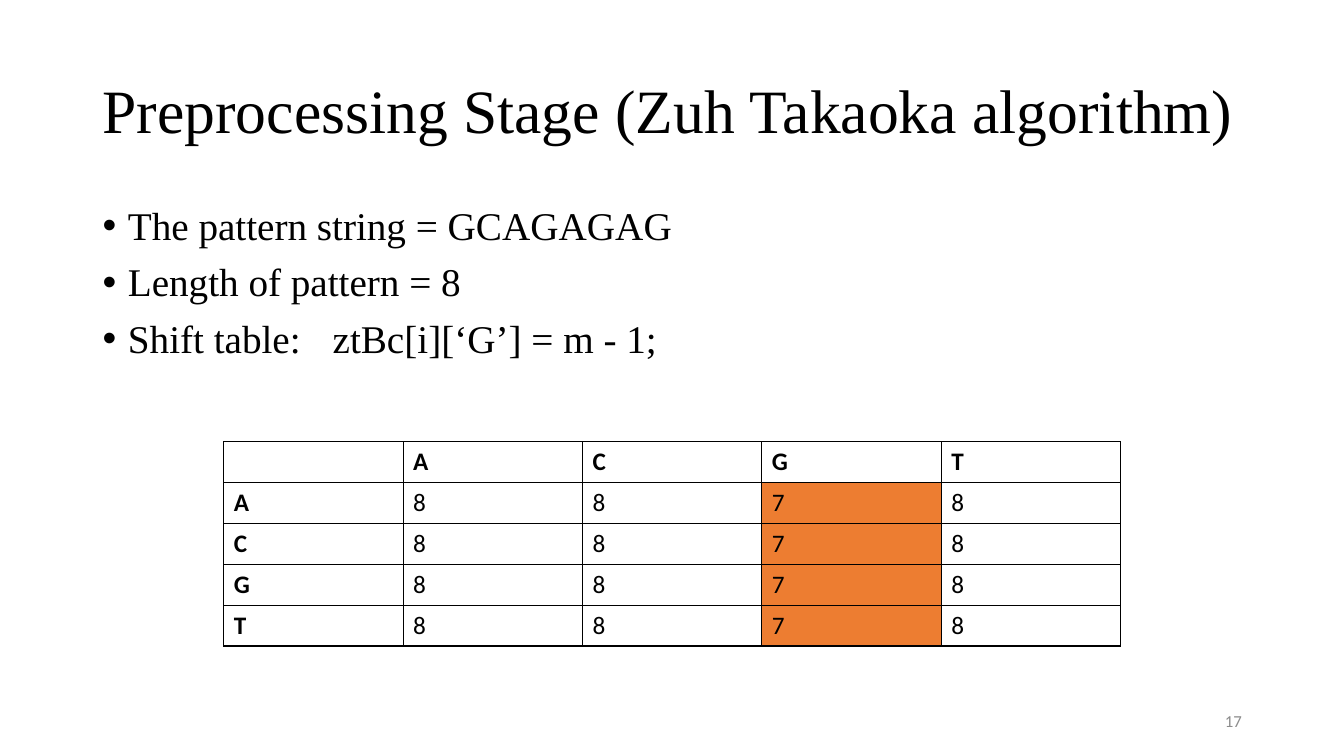
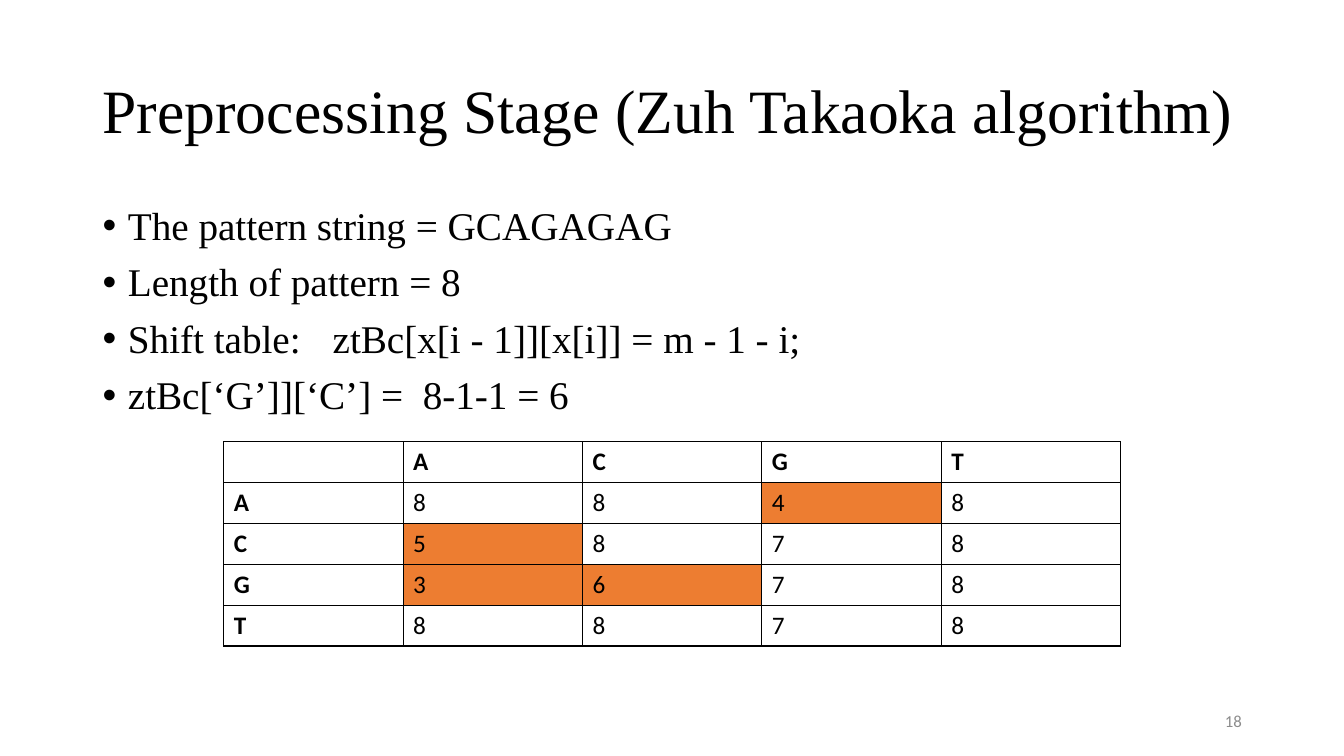
from lxml.etree import SubElement as Sub
from pptx import Presentation as Deck
from pptx.dml.color import RGBColor as RGB
from pptx.enum.text import MSO_ANCHOR as Anchor, MSO_AUTO_SIZE as Fit, PP_ALIGN as Align
from pptx.oxml.ns import qn
from pptx.util import Cm, Pt

# Shared colours, fonts and boxes (left, top, width, height in cm)
BLACK = RGB(0x00, 0x00, 0x00)
WHITE = RGB(0xFF, 0xFF, 0xFF)
ORANGE = RGB(0xED, 0x7D, 0x31)
GREY = RGB(0x8C, 0x8C, 0x8C)
SERIF, SANS = "Times New Roman", "Calibri"
TITLE_BOX = (2.33, 1.01, 29.21, 3.68)
BODY_BOX = (2.33, 5.08, 29.21, 12.09)
GRID_BOX = (5.64, 11.13, 22.6, 5.15)
PAGE_BOX = (23.93, 17.65, 7.62, 1.01)

TITLE = "Preprocessing Stage (Zuh Takaoka algorithm)"
FACTS = ["The pattern string = GCAGAGAG", "Length of pattern = 8"]
BASES = "ACGT"

# Page number, further list lines, shift values by row, marked cells
PAGES = [
    (17, ["Shift table:\tztBc[i][‘G’] = m - 1;"],
     ["8878"] * 4,
     {(base, "G") for base in BASES}),
    (18, ["Shift table:\tztBc[x[i - 1]][x[i]] = m - 1 - i;",
          "ztBc[‘G’]][‘C’] =  8-1-1 = 6"],
     ["8848", "5878", "3678", "8878"],
     {("A", "G"), ("C", "A"), ("G", "A"), ("G", "C")}),
]


def place(shape, box):
    shape.left, shape.top, shape.width, shape.height = map(Cm, box)


def write(para, text, size, face, color=BLACK, bold=False):
    run = para.add_run()
    run.text = text
    font = run.font
    font.size, font.name, font.bold = Pt(size), face, bold
    font.color.rgb = color


def set_frame(frame, anchor):
    frame.word_wrap = True
    frame.auto_size = Fit.NONE
    frame.vertical_anchor = anchor


def add_title(slide, box):
    shape = slide.shapes.title
    place(shape, box)
    set_frame(shape.text_frame, Anchor.MIDDLE)
    para = shape.text_frame.paragraphs[0]
    para.alignment, para.line_spacing = Align.LEFT, 0.9
    write(para, TITLE, 44, SERIF)


def add_list(slide, lines, box):
    shape = slide.placeholders[1]
    place(shape, box)
    frame = shape.text_frame
    set_frame(frame, Anchor.TOP)
    for num, line in enumerate(lines):
        para = frame.add_paragraph() if num else frame.paragraphs[0]
        para.line_spacing = 0.9
        para.space_before = Pt(10 if num else 0)
        # Hanging bullet, and a tab stop for the formula
        props = para._p.get_or_add_pPr()
        props.set("marL", str(Cm(0.64)))
        props.set("indent", str(-Cm(0.64)))
        Sub(props, qn("a:buFont"), typeface="Arial")
        Sub(props, qn("a:buChar"), char="•")
        tabs = Sub(props, qn("a:tabLst"))
        Sub(tabs, qn("a:tab"), pos=str(Cm(5.8)), algn="l")
        write(para, line, 28, SERIF)


def add_page(slide, page, box):
    shape = slide.shapes.add_textbox(*map(Cm, box))
    set_frame(shape.text_frame, Anchor.MIDDLE)
    para = shape.text_frame.paragraphs[0]
    para.alignment = Align.RIGHT
    write(para, str(page), 12, SANS, GREY)


def add_edge(cell):
    props = cell._tc.get_or_add_tcPr()
    for side in ("lnL", "lnR", "lnT", "lnB"):
        line = Sub(props, qn("a:" + side), w=str(Pt(1)))
        fill = Sub(line, qn("a:solidFill"))
        Sub(fill, qn("a:srgbClr"), val=str(BLACK))


def add_grid(slide, rows, marked, box):
    cells = [["", *BASES]] + [[base, *row] for base, row in zip(BASES, rows)]
    count = len(cells)
    table = slide.shapes.add_table(count, count, *map(Cm, box)).table
    table.first_row = table.horz_banding = False
    for i in range(count):
        table.columns[i].width = Cm(box[2] / count)
        table.rows[i].height = Cm(box[3] / count)
    for r, row in enumerate(cells):
        for c, text in enumerate(row):
            cell = table.cell(r, c)
            add_edge(cell)
            cell.fill.solid()
            hit = (row[0], cells[0][c]) in marked
            cell.fill.fore_color.rgb = ORANGE if hit else WHITE
            if text:
                write(cell.text_frame.paragraphs[0], text, 18, SANS,
                      bold=r == 0 or c == 0)


def add_slide(deck, page, lines, rows, marked):
    slide = deck.slides.add_slide(deck.slide_layouts[1])
    add_title(slide, TITLE_BOX)
    add_list(slide, FACTS + lines, BODY_BOX)
    add_page(slide, page, PAGE_BOX)
    add_grid(slide, rows, marked, GRID_BOX)


def main():
    deck = Deck()
    deck.slide_width, deck.slide_height = Cm(33.87), Cm(19.05)
    for page in PAGES:
        add_slide(deck, *page)
    deck.save("out.pptx")


if __name__ == "__main__":
    main()
